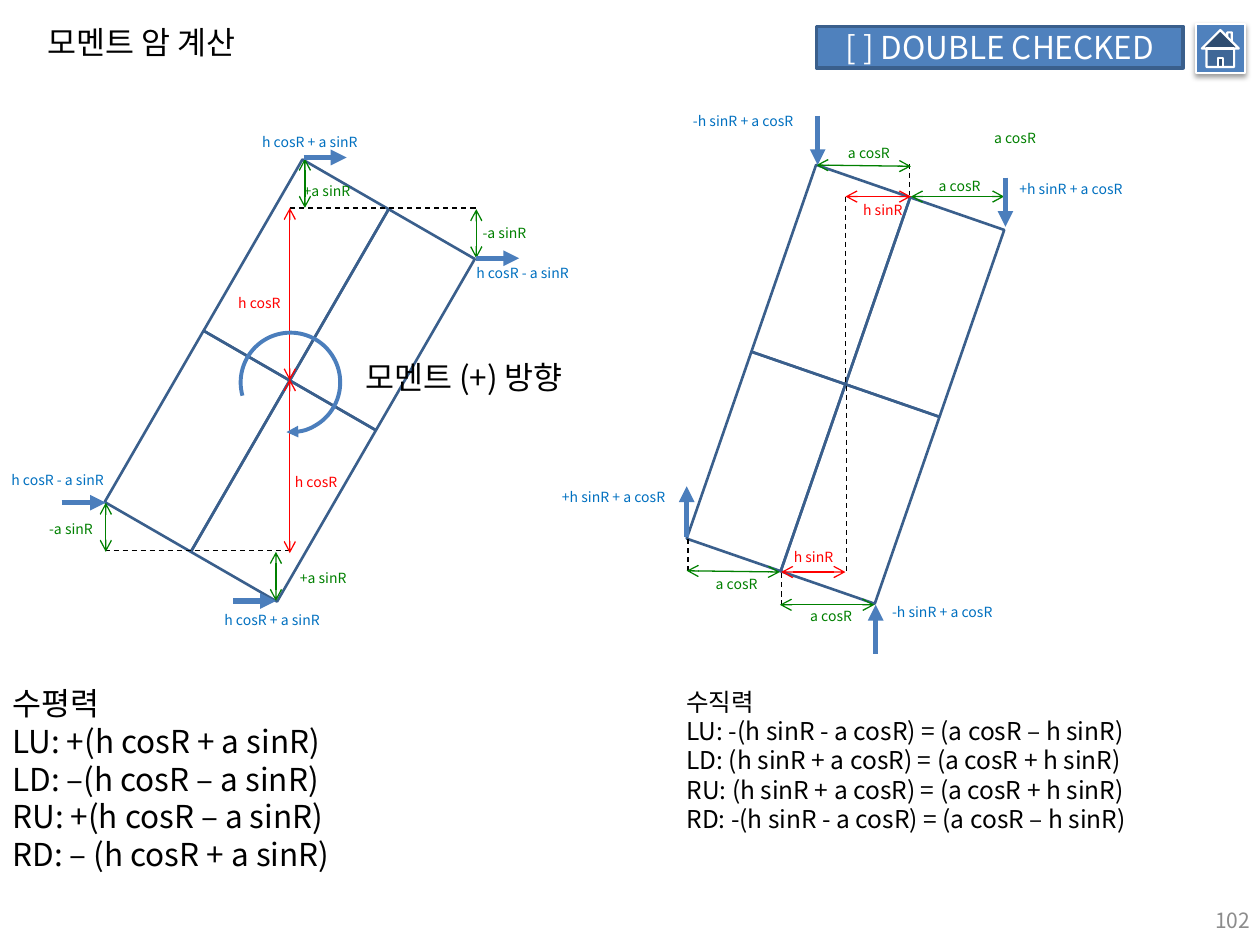
from math import cos, radians, sin

from lxml.etree import SubElement
from pptx import Presentation
from pptx.dml.color import RGBColor
from pptx.enum.dml import MSO_LINE
from pptx.enum.shapes import MSO_CONNECTOR, MSO_SHAPE
from pptx.enum.text import MSO_ANCHOR, MSO_AUTO_SIZE, PP_ALIGN
from pptx.oxml.ns import qn
from pptx.util import Inches, Pt

FONT = "Noto Sans CJK KR"
BLACK, WHITE, GRAY = "000000", "FFFFFF", "8C8C8C"
FILL, EDGE, FORCE = "4F81BD", "3A5F8C", "4B7EBC"
RED, GREEN, BLUE = "FF0000", "008000", "0070C0"
HALF_WIDTH, HALF_HEIGHT = 0.79, 1.57

# Labels: text, colour, left and top
LABELS = [
    # Horizontal forces
    ("h cosR", RED, [(2.3, 3.76), (1.85, 2.34)]),
    ("+a sinR", GREEN, [(2.34, 4.52), (2.37, 1.45)]),
    ("-a sinR", GREEN, [(0.35, 4.13), (3.79, 1.78)]),
    ("h cosR + a sinR", BLUE, [(1.74, 4.85), (2.04, 1.06)]),
    ("h cosR - a sinR", BLUE, [(3.74, 2.1), (0.05, 3.74)]),
    # Vertical forces
    ("h sinR", RED, [(6.26, 4.35), (6.81, 1.6)]),
    ("a cosR", GREEN, [(6.39, 4.82), (5.64, 4.57), (6.69, 1.15),
                       (7.85, 1.03), (7.41, 1.41)]),
    ("-h sinR + a cosR", BLUE, [(7.04, 4.79), (5.46, 0.89)]),
    ("+h sinR + a cosR", BLUE, [(8.05, 1.43), (4.42, 3.88)]),
]
LABEL_WIDTHS = {"h cosR": 0.42, "+a sinR": 0.47, "-a sinR": 0.43,
                "h cosR + a sinR": 0.89, "h cosR - a sinR": 0.86,
                "h sinR": 0.4, "a cosR": 0.43,
                "-h sinR + a cosR": 0.94, "+h sinR + a cosR": 0.97}

# Lines: x and y of the start, x and y of the end
GUIDES = [
    (0.83, 4.37, 2.3, 4.37), (2.3, 1.65, 3.78, 1.65),
    (6.72, 3.06, 6.72, 4.54), (6.71, 1.56, 6.71, 3.04),
    (6.2, 4.55, 6.2, 4.79), (5.46, 4.28, 5.46, 4.53), (7.22, 1.3, 7.22, 1.55),
]
DIMENSIONS = {
    RED: [(2.3, 3.01, 2.3, 4.39), (2.3, 1.65, 2.3, 3.02),
          (6.2, 4.54, 6.71, 4.54), (6.71, 1.56, 7.23, 1.56)],
    GREEN: [(2.19, 4.77, 2.19, 4.38), (0.84, 4.38, 0.84, 3.99),
            (2.42, 1.65, 2.42, 1.26), (3.78, 2.05, 3.78, 1.66),
            (6.19, 4.8, 6.94, 4.8), (5.45, 4.53, 6.19, 4.54),
            (6.48, 1.31, 7.23, 1.32), (7.23, 1.56, 7.97, 1.56)],
}
FORCES = [
    (1.85, 4.77, 2.19, 4.77), (0.49, 3.99, 0.84, 3.99),
    (2.41, 1.25, 2.75, 1.25), (3.78, 2.05, 4.12, 2.05),
    (6.95, 5.19, 6.95, 4.8), (5.45, 4.26, 5.45, 3.86),
    (7.98, 1.41, 7.98, 1.8), (6.49, 0.92, 6.49, 1.31),
]

HORIZONTAL = ["수평력", "LU: +(h cosR + a sinR)", "LD: –(h cosR – a sinR)",
              "RU: +(h cosR – a sinR)", "RD: – (h cosR + a sinR)"]
VERTICAL = ["수직력", "LU: -(h sinR - a cosR) = (a cosR – h sinR)",
            "LD: (h sinR + a cosR) = (a cosR + h sinR)",
            "RU: (h sinR + a cosR) = (a cosR + h sinR)",
            "RD: -(h sinR - a cosR) = (a cosR – h sinR)"]


def color(value):
    return RGBColor.from_string(value)


def write(frame, lines, size, hue, align=PP_ALIGN.LEFT):
    frame.text = "\n".join(lines)
    for para in frame.paragraphs:
        para.alignment = align
        for span in para.runs:
            span.font.size = Pt(size)
            span.font.name = FONT
            span.font.color.rgb = color(hue)
            SubElement(span.font._element, qn("a:ea"), typeface=FONT)


def add_text(page, at, lines, size, hue=BLACK):
    box = page.shapes.add_textbox(*map(Inches, at))
    write(box.text_frame, lines, size, hue)
    box.text_frame.word_wrap = False
    box.text_frame.auto_size = MSO_AUTO_SIZE.SHAPE_TO_FIT_TEXT
    return box


def add_label(page, left, top, text, hue):
    frame = add_text(page, (left, top, LABEL_WIDTHS[text], 0.13),
                     [text], 8, hue).text_frame
    frame.margin_left = frame.margin_right = Inches(0.04)
    frame.margin_top = frame.margin_bottom = 0


def add_shape(page, kind, at, edge, width, fill=None):
    shape = page.shapes.add_shape(kind, *map(Inches, at))
    shape.shadow.inherit = False
    if fill:
        shape.fill.solid()
        shape.fill.fore_color.rgb = color(fill)
    else:
        shape.fill.background()
    shape.line.color.rgb = color(edge)
    shape.line.width = Pt(width)
    return shape


def add_ends(shape, head=None, tail=None):
    outline = shape._element.spPr.find(qn("a:ln"))
    for tag, kind in (("a:headEnd", head), ("a:tailEnd", tail)):
        if kind:
            SubElement(outline, qn(tag), type=kind)


def add_line(page, ends, hue, width, head=None, tail=None, dash=None):
    line = page.shapes.add_connector(MSO_CONNECTOR.STRAIGHT, *map(Inches, ends))
    line.line.color.rgb = color(hue)
    line.line.width = Pt(width)
    if dash:
        line.line.dash_style = dash
    add_ends(line, head, tail)
    SubElement(line._element.spPr, qn("a:effectLst"))


def add_body(page, center_x, center_y, angle):
    """Four equal panels around a center, turned together."""
    turn = radians(angle)
    for down in (-HALF_HEIGHT / 2, HALF_HEIGHT / 2):
        for right in (HALF_WIDTH / 2, -HALF_WIDTH / 2):
            x = center_x + right * cos(turn) - down * sin(turn)
            y = center_y + right * sin(turn) + down * cos(turn)
            at = (x - HALF_WIDTH / 2, y - HALF_HEIGHT / 2, HALF_WIDTH, HALF_HEIGHT)
            add_shape(page, MSO_SHAPE.RECTANGLE, at, EDGE, 1.5).rotation = angle


def add_home_button(page):
    button = add_shape(page, MSO_SHAPE.ACTION_BUTTON_HOME,
                       (9.49, 0.19, 0.39, 0.39), WHITE, 1.25, FILL)
    effects = button._element.spPr.find(qn("a:effectLst"))
    shadow = SubElement(effects, qn("a:outerShdw"), blurRad=str(Pt(3.1)),
                        dist=str(Pt(1.6)), dir="5400000", rotWithShape="0")
    tint = SubElement(shadow, qn("a:srgbClr"), val=BLACK)
    SubElement(tint, qn("a:alpha"), val="38000")


def add_moment_arc(page):
    arc = add_shape(page, MSO_SHAPE.ARC, (1.91, 2.64, 0.79, 0.79), FORCE, 2.25)
    arc.adjustments[0] = 98.755
    arc.adjustments[1] = 56.734
    add_ends(arc, tail="triangle")


def main():
    deck = Presentation()
    deck.slide_width, deck.slide_height = Inches(10), Inches(7.5)
    page = deck.slides.add_slide(deck.slide_layouts[6])

    # Title, check box, home button and page number
    add_text(page, (0.28, 0.13, 1.9, 0.4), ["모멘트 암 계산"], 18)
    check = add_shape(page, MSO_SHAPE.RECTANGLE, (6.48, 0.21, 2.91, 0.33),
                      EDGE, 2, FILL)
    write(check.text_frame, ["[ ] DOUBLE CHECKED"], 18, WHITE, PP_ALIGN.CENTER)
    add_home_button(page)
    number = page.shapes.add_textbox(*map(Inches, (7.69, 7.1, 2.33, 0.4)))
    write(number.text_frame, ["102"], 12, GRAY, PP_ALIGN.RIGHT)
    number.text_frame.word_wrap = True
    number.text_frame.vertical_anchor = MSO_ANCHOR.MIDDLE

    # Tilted bodies
    add_body(page, 6.71, 3.05, 19.1)
    add_body(page, 2.3, 3.02, 30)

    # Guides, dimensions and forces
    for ends in GUIDES:
        add_line(page, ends, BLACK, 0.75, dash=MSO_LINE.DASH)
    for hue, group in DIMENSIONS.items():
        for ends in group:
            add_line(page, ends, hue, 0.75, "arrow", "arrow")
    for ends in FORCES:
        add_line(page, ends, FORCE, 3, tail="triangle")
    for text, hue, places in LABELS:
        for left, top in places:
            add_label(page, left, top, text, hue)

    # Positive moment direction
    add_moment_arc(page)
    add_text(page, (2.8, 2.79, 1.97, 0.4), ["모멘트 (+) 방향"], 18)

    # Resulting moment arms
    add_text(page, (0, 5.38, 2.87, 1.62), HORIZONTAL, 18)
    add_text(page, (5.35, 5.4, 3.9, 1.28), VERTICAL, 14)

    deck.save("out.pptx")


if __name__ == "__main__":
    main()
